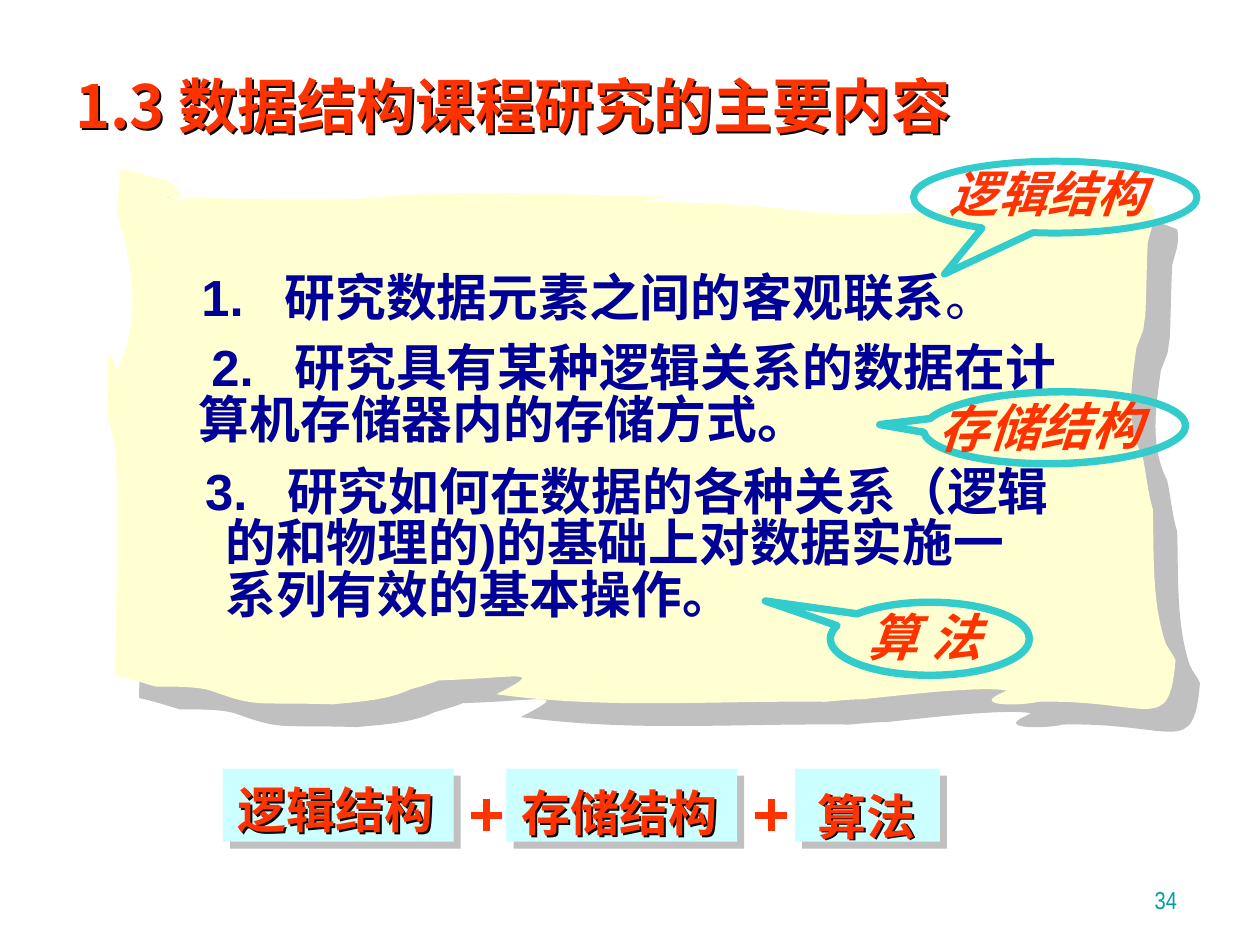
"""Build the slide on what a data structures course studies."""
from lxml.etree import SubElement
from pptx import Presentation
from pptx.dml.color import RGBColor as RGB
from pptx.enum.shapes import MSO_CONNECTOR as CONN, MSO_SHAPE as SHAPE
from pptx.enum.text import MSO_ANCHOR as ANCHOR, PP_ALIGN as ALIGN
from pptx.oxml.ns import qn
from pptx.util import Cm, Pt

COLORS = {"red": "FF3300", "navy": "000099", "paper": "FFFFD1", "teal": "33CCCC",
          "box": "CCFFFF", "gray": "C0C0C0", "number": "009EA1", "black": "000000"}
CJK = "Noto Sans CJK SC"
TITLE = "1.3 数据结构课程研究的主要内容"
ITEMS = [
    ((1.5, 2.06, 6.42, 0.58), 1.0, [("1.\t研究数据元素之间的客观联系", 0, 0.66)], "。"),
    ((1.03, 2.69, 8.47, 0.92), 0.85, [("2.\t研究具有某种逻辑关系的数据在计", 0.55, 0.66),
                                      ("算机存储器内的存储方式。", 0.45, 0)], ""),
    ((1.42, 3.67, 8.75, 1.33), 0.85, [("3.\t研究如何在数据的各种关系（逻辑", 0.11, 0.65),
                                      ("的和物理的)的基础上对数据实施一", 0.27, 0),
                                      ("系列有效的基本操作。", 0.27, 0)], ""),
]
CALLOUTS = [
    ("逻辑结构", 28, (7.25, 1.28, 2.25, 0.57), (7.44, 1.25, 1.92, 0.57), (-0.391, 1.072), 0, 4),
    ("存储结构", 29, (7.33, 3.11, 2.08, 0.57), (7.35, 3.09, 1.92, 0.58), (-0.667, -0.087), 359, 4.25),
    ("算 法", 29, (6.59, 4.78, 1.58, 0.58), (6.79, 4.76, 1.55, 0.58), (-0.827, -0.518), 0, 4.25),
]
TERMS = [("逻辑结构", 1.77, 1.83, (1.79, 6.14, 1.97, 0.57)),
         ("存储结构", 4.02, 1.83, (4.04, 6.16, 1.97, 0.57)),
         ("算法", 6.31, 1.15, (6.39, 6.19, 1.13, 0.57))]
PLUS_X, PLUS_Y, PLUS_ARM = (3.86, 6.12), 6.47, 0.125
PAPER_START = (1.3, 1.56)
PAPER_CURVES = [
    (1.84, 1.58, 2.28, 1.59, 2.85, 1.58), (3.67, 1.49, 4.39, 1.55, 5.28, 1.56),
    (4.98, 1.63, 4.98, 1.58, 5.73, 1.62), (5.85, 1.62, 6.13, 1.65, 6.26, 1.66),
    (6.9, 1.76, 7.54, 1.66, 8.18, 1.6), (8.35, 1.56, 8.5, 1.55, 8.67, 1.53),
    (8.87, 1.55, 8.98, 1.57, 9.15, 1.64), (9.17, 1.75, 9.14, 1.81, 9.11, 1.92),
    (9.1, 2.12, 9.1, 2.32, 9.09, 2.51), (9.08, 2.55, 9.08, 2.6, 9.07, 2.63),
    (9.05, 2.68, 9.02, 2.76, 9.02, 2.76), (8.98, 3.05, 8.93, 3.36, 9.07, 3.63),
    (9.1, 3.77, 9.11, 3.91, 9.15, 4.04), (9.16, 4.39, 9.14, 4.77, 9.25, 5.1),
    (9.27, 5.15, 9.31, 5.19, 9.33, 5.24), (9.28, 5.85, 9.13, 5.55, 8.24, 5.57),
    (8.13, 5.6, 7.72, 5.61, 7.93, 5.51), (7.95, 5.5, 7.97, 5.49, 7.99, 5.48),
    (7.77, 5.44, 7.05, 5.53, 6.84, 5.55), (6.74, 5.55, 6.55, 5.57, 6.55, 5.57),
    (5.63, 5.56, 4.81, 5.63, 3.94, 5.51), (4.35, 5.3, 4.12, 5.38, 3.48, 5.4),
    (3.41, 5.43, 3.26, 5.47, 3.26, 5.47), (3.07, 5.56, 2.84, 5.57, 2.64, 5.59),
    (1.99, 5.57, 2.06, 5.62, 1.67, 5.48), (1.54, 5.44, 1.24, 5.45, 1.24, 5.45),
    (1.13, 5.42, 1.02, 5.38, 0.91, 5.36), (0.92, 4.95, 0.93, 4.54, 0.93, 4.12),
    (0.93, 3.93, 0.93, 3.73, 0.91, 3.53), (0.9, 3.47, 0.88, 3.42, 0.87, 3.37),
    (0.86, 3.34, 0.85, 3.29, 0.85, 3.29), (0.87, 2.84, 0.83, 2.67, 0.93, 2.94),
    (1.12, 2.56, 1.06, 2.1, 0.93, 1.7), (0.94, 1.6, 0.94, 1.51, 0.95, 1.41),
    (0.95, 1.39, 0.95, 1.36, 0.97, 1.35), (1.02, 1.34, 1.11, 1.38, 1.16, 1.39),
    (1.21, 1.41, 1.32, 1.43, 1.32, 1.43), (1.43, 1.5, 1.34, 1.44, 1.43, 1.53),
    (1.44, 1.56, 1.49, 1.6, 1.49, 1.6),
]


def inch(value):
    return Cm(value * 2.54)


def rgb(name):
    return RGB.from_string(COLORS[name])


def cast_shadow(sp, color, dist, angle):
    effects = SubElement(sp._element.spPr, qn("a:effectLst"))
    outer = SubElement(effects, qn("a:outerShdw"), dist=str(Pt(dist)),
                       dir=str(angle * 60000), algn="ctr", rotWithShape="0")
    SubElement(outer, qn("a:srgbClr"), val=COLORS[color])


def add_run(p, text, size, color, font, bold, italic):
    r = p.add_run()
    r.text = text
    r.font.size, r.font.bold, r.font.italic = Pt(size), bold, italic
    r.font.color.rgb = rgb(color)
    r.font.name = font
    SubElement(r.font._element, qn("a:ea"), typeface=CJK)


def add_text(slide, box, lines, size=28, color="red", font="Arial", bold=True, italic=False,
             shadow=False, spacing=1.0, align=ALIGN.LEFT, anchor=ANCHOR.TOP, rotation=0, tail=""):
    sp = slide.shapes.add_textbox(*map(inch, box))
    sp.rotation = rotation
    if shadow:
        cast_shadow(sp, "black", 1.5, 45)
    tf = sp.text_frame
    tf.word_wrap, tf.vertical_anchor = True, anchor
    for i, (text, start, hang) in enumerate(lines):
        p = tf.paragraphs[0] if i == 0 else tf.add_paragraph()
        p.alignment, p.line_spacing = align, spacing
        pPr = p._p.get_or_add_pPr()
        pPr.set("marL", str(inch(start + hang)))
        pPr.set("indent", str(inch(-hang)))
        add_run(p, text, size, color, font, bold, italic)
    if tail:
        add_run(p, tail, size, color, font, False, italic)


def fill_shape(sp, color, dist, angle):
    sp.fill.solid()
    sp.fill.fore_color.rgb = rgb(color)
    sp.line.fill.background()
    cast_shadow(sp, "gray", dist, angle)


def add_paper(slide):
    points = [tuple(map(inch, c[i:i + 2])) for c in PAPER_CURVES for i in (0, 2, 4)]
    builder = slide.shapes.build_freeform(*map(inch, PAPER_START))
    builder.add_line_segments(points, close=True)
    sp = builder.convert_to_shape()
    segments = list(sp._element.iter(qn("a:lnTo")))
    for first, second, third in zip(segments[::3], segments[1::3], segments[2::3]):
        first.tag = qn("a:cubicBezTo")
        for segment in (second, third):
            first.append(segment[0])
            segment.getparent().remove(segment)
    fill_shape(sp, "paper", 19.1, 43)


def add_callout(slide, text, size, box, text_box, tip, rotation, width):
    sp = slide.shapes.add_shape(SHAPE.OVAL_CALLOUT, *map(inch, box))
    sp.adjustments[0], sp.adjustments[1] = tip
    sp.rotation = rotation
    sp.fill.background()
    sp.line.color.rgb, sp.line.width = rgb("teal"), Pt(width)
    sp.shadow.inherit = False
    add_text(slide, text_box, [(text, 0, 0)], size=size, italic=True, rotation=rotation)


def add_plus(slide, x, y, arm):
    for dx, dy in ((arm, 0), (0, -arm)):
        ends = (x - dx, y - dy, x + dx, y + dy)
        line = slide.shapes.add_connector(CONN.STRAIGHT, *map(inch, ends))
        line.line.color.rgb, line.line.width = rgb("red"), Pt(4)
        SubElement(line._element.spPr, qn("a:effectLst"))


def main():
    prs = Presentation()
    prs.slide_width, prs.slide_height = inch(10), inch(7.5)
    slide = prs.slides.add_slide(prs.slide_layouts[6])
    add_text(slide, (0.5, 0.5, 8.36, 0.67), [(TITLE, 0, 0)], size=34, font=CJK, shadow=True)
    add_paper(slide)
    for box, spacing, lines, tail in ITEMS:
        add_text(slide, box, lines, size=29, color="navy", spacing=spacing, tail=tail)
    for callout in CALLOUTS:
        add_callout(slide, *callout)
    for text, left, width, text_box in TERMS:
        sp = slide.shapes.add_shape(SHAPE.RECTANGLE, *map(inch, (left, 6.1, width, 0.58)))
        fill_shape(sp, "box", 5.7, 45)
        add_text(slide, text_box, [(text, 0, 0)], shadow=True)
    for x in PLUS_X:
        add_plus(slide, x, PLUS_Y, PLUS_ARM)
    add_text(slide, (7.36, 6.81, 2.08, 0.5), [("34", 0, 0)], size=14, color="number",
             font="Arial Narrow", bold=False, align=ALIGN.RIGHT, anchor=ANCHOR.BOTTOM)
    prs.save("out.pptx")


if __name__ == "__main__":
    main()
